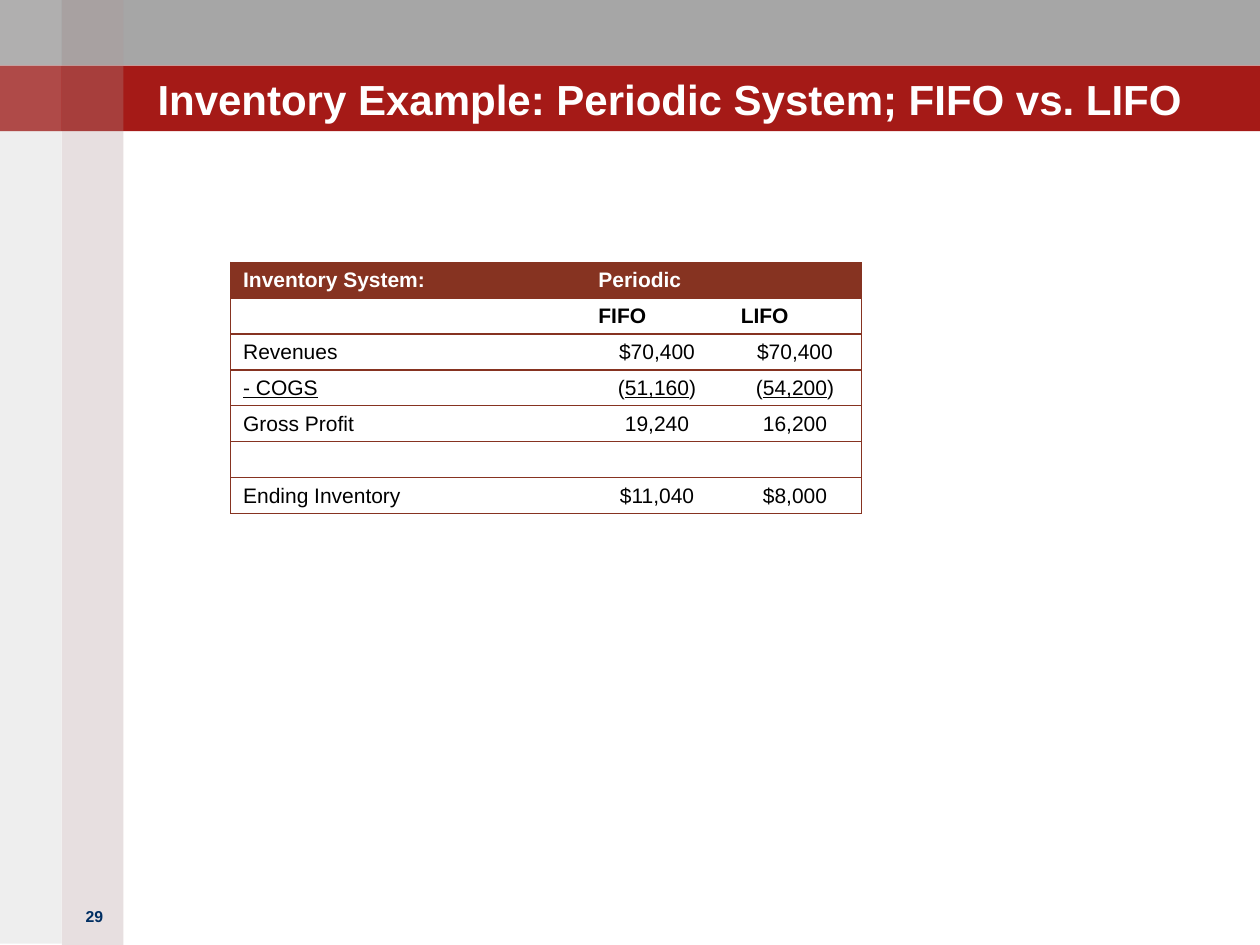
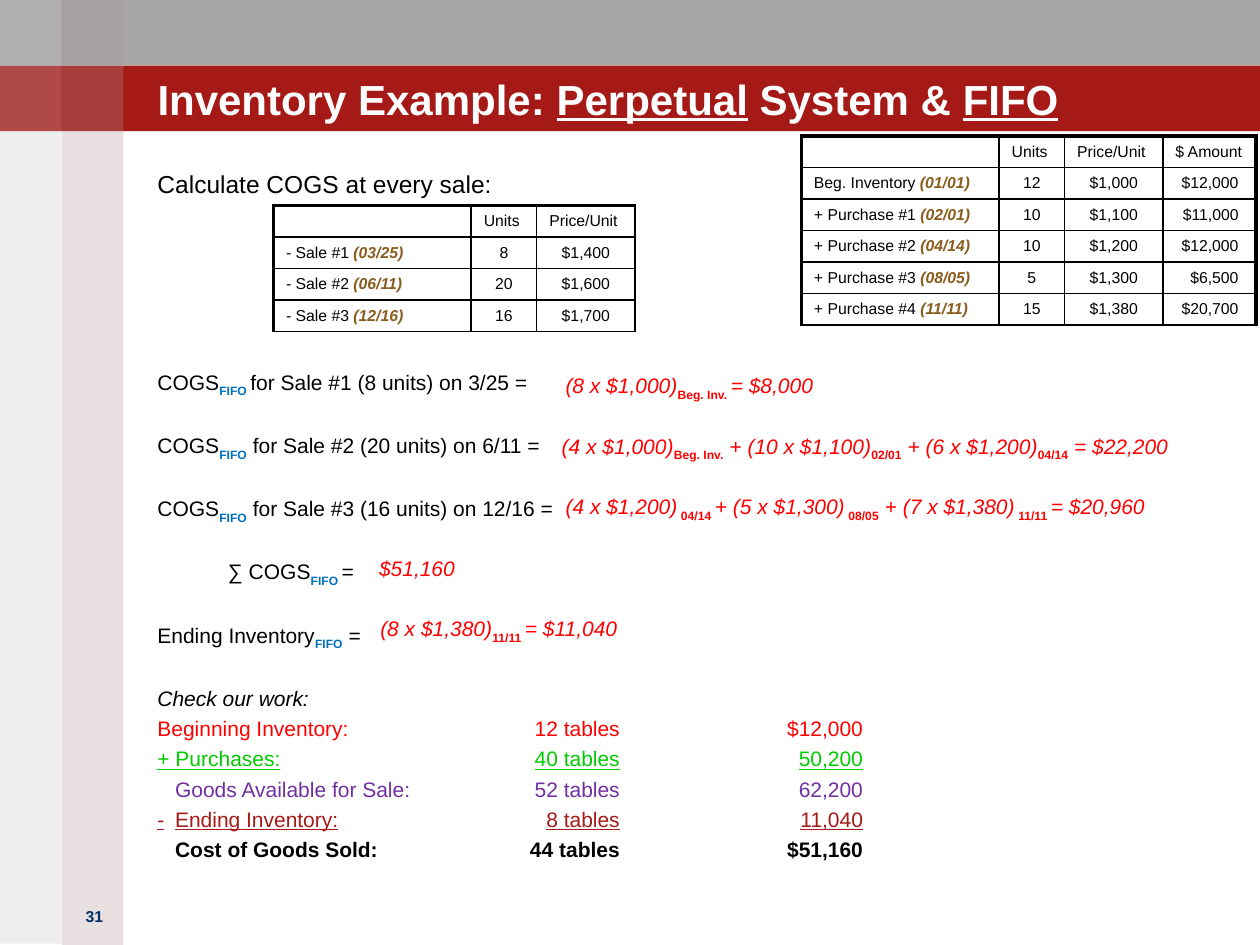
from pptx import Presentation
from pptx.dml.color import RGBColor
from pptx.enum.shapes import MSO_SHAPE
from pptx.enum.text import MSO_ANCHOR, PP_ALIGN
from pptx.oxml.ns import qn
from pptx.util import Inches, Pt
from lxml.etree import Element, SubElement

COLORS = {
    "white": "FFFFFF", "black": "000000", "gray": "A6A6A6", "crimson": "A51A17",
    "rose": "A08284", "ash": "938F8F", "navy": "002E62", "brick": "863321",
    "blue": "0070C0", "red": "FF0000", "green": "00CC00", "purple": "7030A0",
    "gold": "895D1D",
}
FONT = "Arial"
LEFT, CENTER, RIGHT = PP_ALIGN.LEFT, PP_ALIGN.CENTER, PP_ALIGN.RIGHT


def write(para, spans, **base):
    for text, changes in spans:
        style = {"color": "black", **base, **changes}
        span = para.add_run()
        span.text = text
        span.font.name = FONT
        span.font.size = Pt(style["size"])
        span.font.bold = style.get("bold", False)
        span.font.italic = style.get("italic", False)
        span.font.underline = style.get("underline", False)
        span.font.color.rgb = RGBColor.from_string(COLORS[style["color"]])
        if style.get("sub"):
            span._r.get_or_add_rPr().set("baseline", "-25000")


def add_grid(page, left, top, widths, row_height, rows, size, color, edges, inner, aligns, header_rows):
    frame = page.shapes.add_table(len(rows), len(widths), Inches(left), Inches(top),
                                  Inches(sum(widths)), Inches(row_height * len(rows)))
    table = frame.table
    table.first_row = table.horz_banding = False
    for column, width in zip(table.columns, widths):
        column.width = Inches(width)
    for r, row in enumerate(rows):
        table.rows[r].height = Inches(row_height)
        for c, spans in enumerate(row):
            cell = table.cell(r, c)
            cell.fill.solid()
            cell.fill.fore_color.rgb = RGBColor.from_string(COLORS["white"])
            cell.vertical_anchor = MSO_ANCHOR.MIDDLE
            cell.margin_top = cell.margin_bottom = Inches(0.04)
            para = cell.text_frame.paragraphs[0]
            para.alignment = LEFT if r < header_rows else aligns[c]
            if para.alignment == RIGHT:
                cell.margin_right = Inches(0.14)
            if spans:
                write(para, spans, size=size)
            else:
                para._p.get_or_add_endParaRPr().set("sz", str(size * 100))
            line_widths = {
                "lnL": edges["left"] if c == 0 else inner,
                "lnR": edges["right"] if c == len(widths) - 1 else inner,
                "lnT": edges["top"] if r == 0 else edges["bottom"],
                "lnB": edges["bottom"],
            }
            for place, (side, weight) in enumerate(line_widths.items()):
                line = Element(qn("a:" + side), w=str(Pt(weight)))
                if weight:
                    fill = SubElement(line, qn("a:solidFill"))
                    SubElement(fill, qn("a:srgbClr"), val=COLORS[color])
                else:
                    SubElement(line, qn("a:noFill"))
                cell._tc.get_or_add_tcPr().insert(place, line)
    return table


deck = Presentation()
deck.slide_width, deck.slide_height = Inches(10), Inches(7.5)
layout = deck.slide_layouts[5]

titles = [
    ("29", [("Inventory Example: Periodic System; FIFO vs. LIFO", {})]),
    ("31", [("Inventory Example: ", {}), ("Perpetual", {"underline": True}),
            (" System & ", {}), ("FIFO", {"underline": True})]),
]
pages = []
for number, title_spans in titles:
    page = deck.slides.add_slide(layout)
    pages.append(page)
    title = page.shapes.title
    title.left, title.top, title.width, title.height = map(Inches, (1.25, 0.31, 8.25, 0.67))
    frame = title.text_frame
    frame.word_wrap = True
    frame.vertical_anchor = MSO_ANCHOR.BOTTOM
    frame.margin_left = frame.margin_right = frame.margin_top = frame.margin_bottom = 0
    para = frame.paragraphs[0]
    para.alignment = LEFT
    write(para, title_spans, size=24, color="white", bold=True)
    box = page.shapes.add_textbox(Inches(0.5), Inches(7.15), Inches(0.5), Inches(0.3))
    box.text_frame.word_wrap = True
    para = box.text_frame.paragraphs[0]
    para.alignment = CENTER
    write(para, [(number, {})], size=9, color="navy", bold=True)

periodic_page, perpetual_page = pages

BAND, STRIP = 0.52, 0.49
bands = [
    (0, 0, 10, BAND, "gray", 100),
    (0, BAND, 10, BAND, "crimson", 100),
    (STRIP, 0, STRIP, 7.5, "rose", 25),
    (0, 0, STRIP, 7.49, "ash", 15),
]
for top in (0, BAND):
    bands.append((STRIP, top, STRIP, BAND, "white", 5))
    bands.append((0, top, STRIP, BAND, "white", 15))
for index, (left, top, width, height, color, opacity) in enumerate(bands):
    band = periodic_page.shapes.add_shape(MSO_SHAPE.RECTANGLE, Inches(left), Inches(top),
                                          Inches(width), Inches(height))
    band.shadow.inherit = False
    band.line.fill.background()
    band.fill.solid()
    band.fill.fore_color.rgb = RGBColor.from_string(COLORS[color])
    if opacity < 100:
        tint = band.element.spPr.find(".//" + qn("a:srgbClr"))
        SubElement(tint, qn("a:alpha"), val=str(opacity * 1000))
    band.element.nvSpPr.cNvPr.id = 100 + index
    layout.element.cSld.spTree.insert(2 + index, band.element)

heading = {"bold": True, "color": "white"}
strong = {"bold": True}
underlined = {"underline": True}
periodic_rows = [
    [[("Inventory System:", heading)], [("Periodic", heading)], []],
    [[], [("FIFO", strong)], [("LIFO", strong)]],
    [[("Revenues", {})], [("$70,400", {})], [("$70,400", {})]],
    [[("- COGS", underlined)],
     [("(", {}), ("51,160", underlined), (")", {})],
     [("(", {}), ("54,200", underlined), (")", {})]],
    [[("Gross Profit", {})], [("19,240", {})], [("16,200", {})]],
    [[], [], []],
    [[("Ending Inventory", {})], [("$11,040", {})], [("$8,000", {})]],
]
thin = {"left": 0.75, "top": 0.75, "right": 0.75, "bottom": 0.75}
table = add_grid(periodic_page, 1.83, 2.08, [2.82, 1.13, 1.06], 2 / 7, periodic_rows,
                 12, "brick", thin, 0, [LEFT, CENTER, CENTER], 2)
for cell in table.rows[0].cells:
    cell.fill.fore_color.rgb = RGBColor.from_string(COLORS["brick"])
table.cell(0, 1).merge(table.cell(0, 2))

stock = [
    ("Beg. Inventory ", "(01/01)", "12", "$1,000", "$12,000"),
    ("+ Purchase #1 ", "(02/01)", "10", "$1,100", "$11,000"),
    ("+ Purchase #2 ", "(04/14)", "10", "$1,200", "$12,000"),
    ("+ Purchase #3 ", "(08/05)", "5", "$1,300", "$6,500"),
    ("+ Purchase #4 ", "(11/11)", "15", "$1,380", "$20,700"),
]
sales = [
    ("- Sale #1 ", "(03/25)", "8", "$1,400"),
    ("- Sale #2 ", "(06/11)", "20", "$1,600"),
    ("- Sale #3 ", "(12/16)", "16", "$1,700"),
]
headers = ["Units", "Price/Unit", "$ Amount"]
widths = [1.57, 0.52, 0.78, 0.74]
aligns = [LEFT, CENTER, CENTER, RIGHT]
date_style = {"color": "gold", "bold": True, "italic": True}
for left, top, entries, right_edge in ((6.36, 1.08, stock, 2.25), (2.17, 1.63, sales, 1)):
    count = len(entries[0]) - 1
    rows = [[[]] + [[(text, {})] for text in headers[:count - 1]]]
    for label, date, *values in entries:
        rows.append([[(label, {}), (date, date_style)]] + [[(value, {})] for value in values])
    edges = {"left": 2.25, "top": 2.25, "right": right_edge, "bottom": 1}
    add_grid(perpetual_page, left, top, widths[:count], 0.25, rows, 9, "black",
             edges, 1, aligns, 1)

box = perpetual_page.shapes.add_textbox(Inches(1.25), Inches(1.34), Inches(8.67), Inches(5.8))
frame = box.text_frame
frame.word_wrap = True
frame.margin_left = frame.margin_right = frame.margin_top = frame.margin_bottom = 0
write(frame.paragraphs[0], [("Calculate COGS at every sale:", {})], size=14)

WIDE_GAP, LINE_GAP = 19.7, 2.95
subscript = {"color": "blue", "bold": True, "sub": True}
steps = [
    ("COGS", "FIFO ", "for Sale #1 (8 units) on 3/25 =", 98, 0),
    ("COGS", "FIFO", " for Sale #2 (20 units) on 6/11 =", WIDE_GAP, 0),
    ("COGS", "FIFO", " for Sale #3 (16 units) on 12/16 =", WIDE_GAP, 0),
    ("∑ COGS", "FIFO ", "=", WIDE_GAP, 0.56),
    ("Ending Inventory", "FIFO", " =", WIDE_GAP, 0),
]
for name, method, rest, gap, indent in steps:
    para = frame.add_paragraph()
    para.space_before = Pt(gap)
    para._p.get_or_add_pPr().set("marL", str(Inches(indent)))
    write(para, [(name, {}), (method, subscript), (rest, {})], size=12)

para = frame.add_paragraph()
para.space_before = Pt(WIDE_GAP)
write(para, [("Check our work:", {})], size=12, italic=True)

checks = [
    ("Beginning Inventory:\t12 tables\t$12,000", {"color": "red"}),
    ("+ Purchases:\t40 tables\t50,200", {"color": "green", "underline": True}),
    ("\tGoods Available for Sale:\t52 tables\t62,200", {"color": "purple"}),
    ("-\tEnding Inventory:\t8 tables\t11,040", {"color": "crimson", "underline": True}),
    ("\tCost of Goods Sold:\t44 tables\t$51,160", {"bold": True}),
]
for text, style in checks:
    para = frame.add_paragraph()
    stops = SubElement(para._p.get_or_add_pPr(), qn("a:tabLst"))
    for position, side in ((0.14, "l"), (3.67, "r"), (5.6, "r")):
        SubElement(stops, qn("a:tab"), pos=str(Inches(position)), algn=side)
    para.space_before = Pt(LINE_GAP)
    write(para, [(text, style)], size=12)

answers = [
    (4.39, 2.91, 3.84, ["(8 x $1,000)", "Beg. Inv. ", "= $8,000"]),
    (4.36, 3.39, 5.25, ["(4 x $1,000)", "Beg. Inv.", " + (10 x $1,100)", "02/01",
                        " + (6 x $1,200)", "04/14", " = $22,200"]),
    (4.39, 3.87, 5.25, ["(4 x $1,200)", " 04/14 ", "+ (5 x $1,300)", " 08/05",
                        " + (7 x $1,380)", " 11/11 ", "= $20,960"]),
    (2.91, 4.36, 1.58, ["$51,160"]),
    (2.92, 4.84, 2.94, ["(8 x $1,380)", "11/11 ", "= $11,040"]),
]
for left, top, width, parts in answers:
    box = perpetual_page.shapes.add_textbox(Inches(left), Inches(top), Inches(width), Inches(0.3))
    box.text_frame.word_wrap = True
    spans = [(part, {"bold": True, "sub": True} if index % 2 else {"italic": True})
             for index, part in enumerate(parts)]
    write(box.text_frame.paragraphs[0], spans, size=12, color="red")

deck.save("out.pptx")
